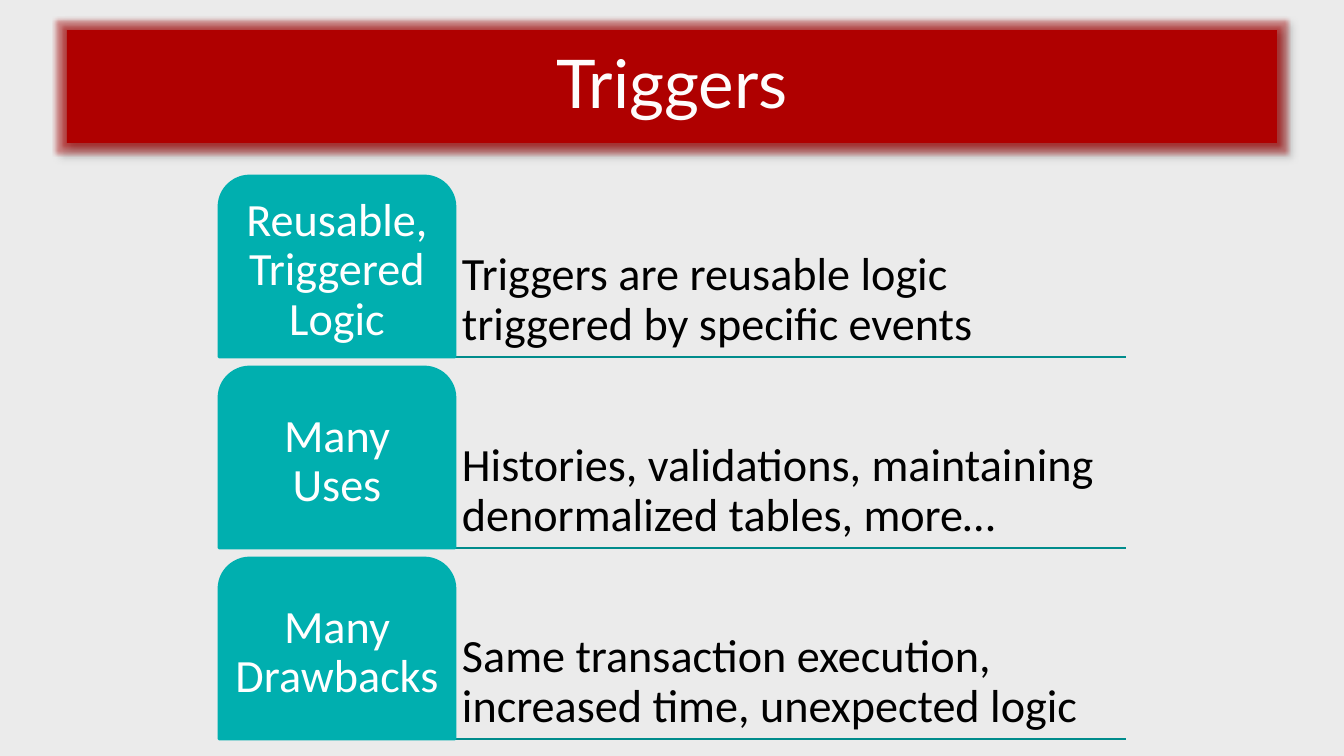
"""Build the Triggers slide: a title banner above three tabbed points."""
from dataclasses import dataclass

from lxml import etree
from pptx import Presentation
from pptx import util as u
from pptx.dml.color import RGBColor
from pptx.enum import shapes, text
from pptx.oxml.ns import qn


@dataclass(frozen=True)
class Theme:
    """Colours, fonts and type sizes of the slide."""
    background: str = "EBEBEB"
    banner: str = "AF0000"
    title: str = "FEFCFC"
    tab: str = "00AFAF"
    rule: str = "008C8C"
    label: str = "FFFFFF"
    body: str = "000000"
    shadow: str = "000000"
    title_font: str = "Lato"
    body_font: str = "Calibri"
    title_size: int = 48
    body_size: int = 33
    rule_width: int = 2


THEME = Theme()
EMU_PER_PX = u.Inches(1) / 100.8
SLIDE_WIDTH, SLIDE_HEIGHT = 1344, 756
BANNER = (67, 30, 1210, 113)
LEFT, TOP, WIDTH, TAB_WIDTH = 219, 176, 907, 236
ROW_HEIGHT, ROW_PITCH = 181, 191
LABEL_MARGIN = 9
INSET = 7
POINTS = [
    ("Reusable, Triggered Logic",
     "Triggers are reusable logic triggered by specific events"),
    ("Many Uses",
     "Histories, validations, maintaining denormalized tables, more…"),
    ("Many Drawbacks",
     "Same transaction execution, increased time, unexpected logic"),
]


def px(*lengths):
    """Turn pixel lengths into EMU."""
    return [u.Emu(round(length * EMU_PER_PX)) for length in lengths]


def set_format(target, values):
    """Set every attribute named in a dict of format values."""
    for name, value in values.items():
        setattr(target, name, value)


def paint(fill, colour):
    """Give a fill one solid colour."""
    fill.solid()
    fill.fore_color.rgb = RGBColor.from_string(colour)


def write(shape, words, font, size, colour, align, anchor, inset=INSET):
    """Write one formatted paragraph in a shape."""
    frame = shape.text_frame
    margin, = px(inset)
    set_format(frame, {
        "word_wrap": True, "vertical_anchor": anchor,
        "margin_left": margin, "margin_right": margin,
        "margin_top": margin, "margin_bottom": margin,
    })
    paragraph = frame.paragraphs[0]
    set_format(paragraph, {"alignment": align, "line_spacing": 0.9})
    run = paragraph.add_run()
    run.text = words
    set_format(run.font, {"name": font, "size": u.Pt(size)})
    run.font.color.rgb = RGBColor.from_string(colour)


def add_effect(effects, kind, colour, alpha, **settings):
    """Add a glow or shadow to an effect list."""
    effect = etree.SubElement(effects, qn(f"a:{kind}"))
    set_xml = {name: str(value) for name, value in settings.items()}
    effect.attrib.update(set_xml)
    tint = etree.SubElement(effect, qn("a:srgbClr"), val=colour)
    etree.SubElement(tint, qn("a:alpha"), val=str(alpha * 1000))


def add_banner(slide, words):
    """Add the title banner with its red glow and soft shadow."""
    banner = slide.shapes.add_shape(
        shapes.MSO_SHAPE.RECTANGLE, *px(*BANNER))
    banner.shadow.inherit = False
    paint(banner.fill, THEME.banner)
    banner.line.fill.background()
    effects = banner._element.spPr.find(qn("a:effectLst"))
    add_effect(effects, "glow", THEME.banner, 40, rad=u.Pt(5))
    add_effect(effects, "outerShdw", THEME.shadow, 40, blurRad=u.Pt(4),
               dist=u.Pt(3), dir=45 * 60000, rotWithShape=0)
    write(banner, words, THEME.title_font, THEME.title_size, THEME.title,
          text.PP_ALIGN.CENTER, text.MSO_ANCHOR.MIDDLE)


def add_rule(slide, y):
    """Add the line under a point."""
    rule = slide.shapes.add_connector(
        shapes.MSO_CONNECTOR.STRAIGHT, *px(LEFT, y, LEFT + WIDTH, y))
    paint(rule.line.fill, THEME.rule)
    rule.line.width = u.Pt(THEME.rule_width)
    etree.SubElement(rule._element.spPr, qn("a:effectLst"))


def add_tab(slide, y):
    """Add the round-topped tab of a point."""
    tab = slide.shapes.add_shape(
        shapes.MSO_SHAPE.ROUND_2_SAME_RECTANGLE,
        *px(LEFT, y, TAB_WIDTH, ROW_HEIGHT))
    tab.shadow.inherit = False
    tab.adjustments[0] = 0.17
    tab.adjustments[1] = 0
    paint(tab.fill, THEME.tab)
    paint(tab.line.fill, THEME.tab)
    tab.line.width = u.Pt(THEME.rule_width)


def add_text(slide, box, words, colour, align, anchor):
    """Add a text box in the body type."""
    shape = slide.shapes.add_textbox(*px(*box))
    write(shape, words, THEME.body_font, THEME.body_size, colour,
          align, anchor)


def add_point(slide, y, label, detail):
    """Add one point: rule, detail, tab and label."""
    add_rule(slide, y + ROW_HEIGHT)
    add_text(slide, (LEFT + TAB_WIDTH, y, WIDTH - TAB_WIDTH, ROW_HEIGHT),
             detail, THEME.body, text.PP_ALIGN.LEFT, text.MSO_ANCHOR.BOTTOM)
    add_tab(slide, y)
    label_box = (LEFT + LABEL_MARGIN, y + LABEL_MARGIN,
                 TAB_WIDTH - 2 * LABEL_MARGIN, ROW_HEIGHT - LABEL_MARGIN)
    add_text(slide, label_box, label, THEME.label,
             text.PP_ALIGN.CENTER, text.MSO_ANCHOR.MIDDLE)


def main():
    """Build and save the presentation."""
    presentation = Presentation()
    width, height = px(SLIDE_WIDTH, SLIDE_HEIGHT)
    set_format(presentation, {"slide_width": width, "slide_height": height})
    slide = presentation.slides.add_slide(presentation.slide_layouts[6])
    paint(slide.background.fill, THEME.background)
    add_banner(slide, "Triggers")
    for row, (label, detail) in enumerate(POINTS):
        add_point(slide, TOP + row * ROW_PITCH, label, detail)
    presentation.save("out.pptx")


if __name__ == "__main__":
    main()
